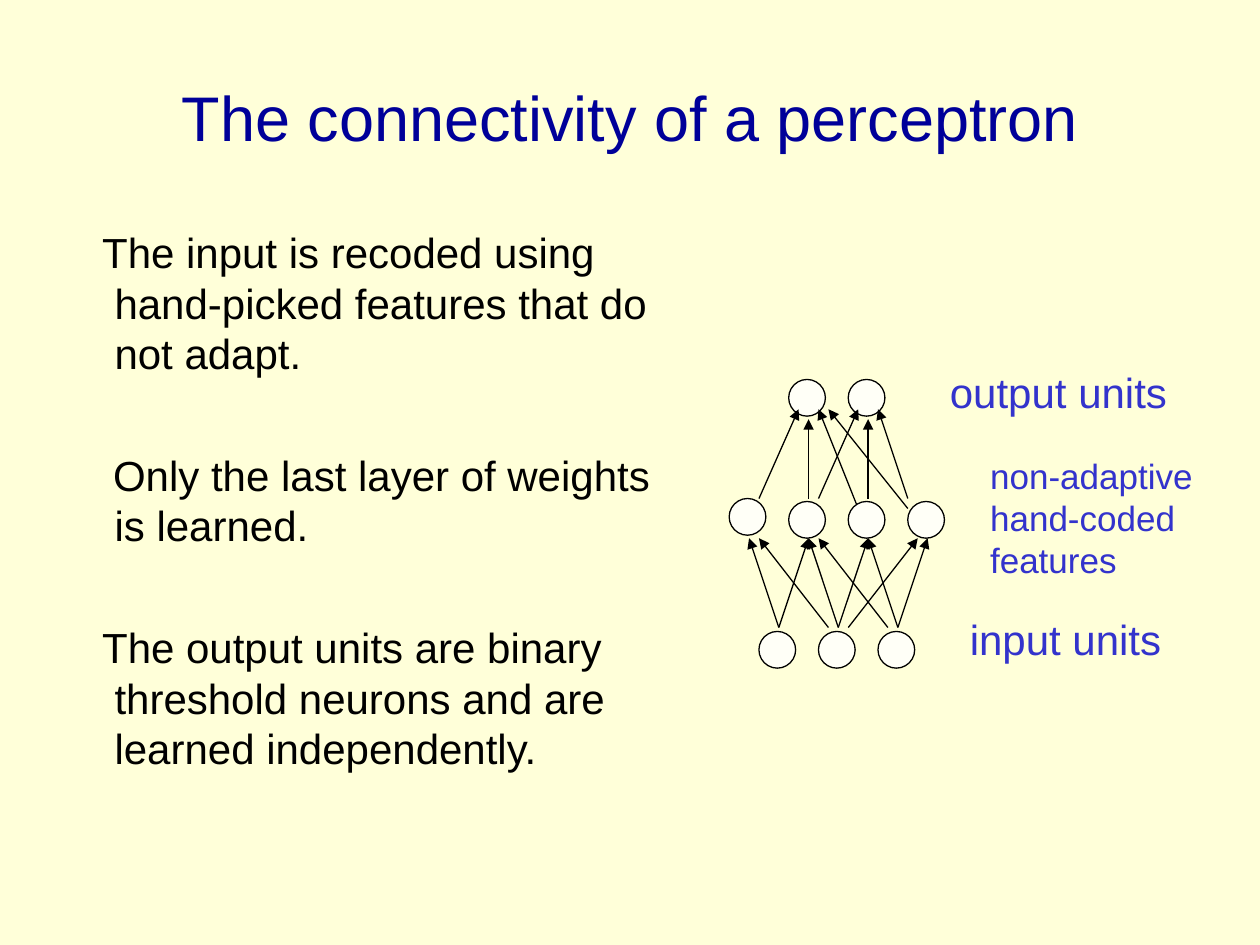
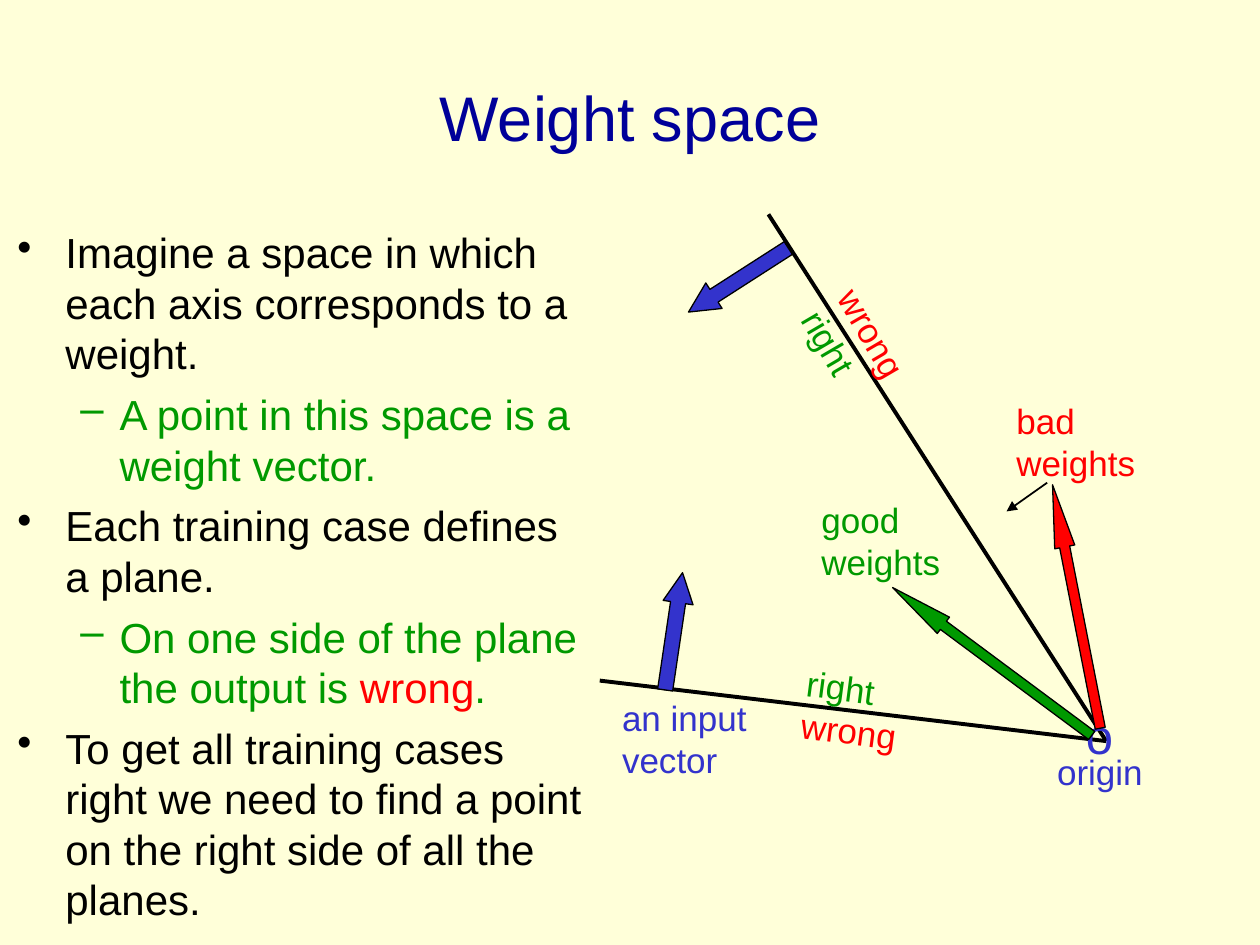
from lxml.etree import SubElement
from pptx import Presentation
from pptx.dml.color import RGBColor
from pptx.enum.shapes import MSO_CONNECTOR as Connector, MSO_SHAPE as Shape
from pptx.enum.text import MSO_ANCHOR as Anchor, MSO_AUTO_SIZE as AutoSize, PP_ALIGN as Align
from pptx.oxml.ns import qn
from pptx.util import Cm, Pt

FONT = "Arial"
COLORS = {
    "paper": "FFFFD9",
    "title": "000099",
    "ink": "000000",
    "unit": "FFFFF7",
    "blue": "3333CC",
    "right": "009900",
    "wrong": "FF0000",
}
GRID = 0.2
UNIT_SIZE = 0.74
BULLETS = {0: ("•", "ink", 0.97, -0.97), 1: ("–", "right", 2.06, -0.79)}


def rgb(color):
    return RGBColor.from_string(COLORS[color])


def add_run(paragraph, text, size, color):
    run = paragraph.add_run()
    run.text = text
    run.font.name = FONT
    run.font.size = Pt(size)
    run.font.color.rgb = rgb(color)


def add_text_frame(slide, left, top, width, height, rotation=0):
    box = slide.shapes.add_textbox(Cm(left), Cm(top), Cm(width), Cm(height))
    box.rotation = rotation
    box.text_frame.word_wrap = True
    return box.text_frame


def next_paragraph(frame, index):
    return frame.add_paragraph() if index else frame.paragraphs[0]


def add_label(slide, left, top, width, height, lines, size=20, rotation=0):
    frame = add_text_frame(slide, left, top, width, height, rotation)
    for index, (text, color) in enumerate(lines):
        add_run(next_paragraph(frame, index), text, size, color)


def set_indent(paragraph, margin, indent):
    properties = paragraph._p.get_or_add_pPr()
    properties.set("marL", str(Cm(margin)))
    properties.set("indent", str(Cm(indent)))
    return properties


def style_shape(shape, fill):
    shape.shadow.inherit = False
    shape.fill.solid()
    shape.fill.fore_color.rgb = rgb(fill)
    shape.line.color.rgb = rgb("ink")
    shape.line.width = Pt(0.75)


def add_line(slide, start, end, weight, arrow=False):
    line = slide.shapes.add_connector(
        Connector.STRAIGHT, *(Cm(value) for value in (*start, *end)))
    line.line.color.rgb = rgb("ink")
    line.line.width = Pt(weight)
    if arrow:
        SubElement(line.line._get_or_add_ln(), qn("a:tailEnd"), type="triangle")
    SubElement(line._element.spPr, qn("a:effectLst"))


def add_titled_slide(deck, text):
    slide = deck.slides.add_slide(deck.slide_layouts[5])
    title = slide.shapes.title
    title.left, title.top, title.width, title.height = Cm(1.27), Cm(0.76), Cm(22.86), Cm(3.18)
    frame = title.text_frame
    frame.vertical_anchor = Anchor.MIDDLE
    frame.auto_size = AutoSize.NONE
    frame.word_wrap = True
    frame.paragraphs[0].alignment = Align.CENTER
    add_run(frame.paragraphs[0], text, 36, "title")
    return slide


def add_statements(slide, left, top, width, height, statements):
    frame = add_text_frame(slide, left, top, width, height)
    for index, (text, indent) in enumerate(statements):
        paragraph = next_paragraph(frame, index)
        paragraph.space_before = Pt(40.8 if index else 6)
        set_indent(paragraph, 0.97, indent)
        add_run(paragraph, text, 24, "ink")


def add_bullets(slide, left, top, width, height, points):
    frame = add_text_frame(slide, left, top, width, height)
    for index, (level, runs) in enumerate(points):
        paragraph = next_paragraph(frame, index)
        paragraph.level = level
        paragraph.space_before = Pt(6)
        mark, color, margin, indent = BULLETS[level]
        properties = set_indent(paragraph, margin, indent)
        bullet_color = SubElement(properties, qn("a:buClr"))
        SubElement(bullet_color, qn("a:srgbClr"), val=COLORS[color])
        SubElement(properties, qn("a:buChar"), char=mark)
        for text, run_color in runs:
            add_run(paragraph, text, 24, run_color)


def add_network(slide, left, top):
    def at(column, row):
        return left + column * GRID, top + row * GRID

    def add_units(units):
        for column, row in units:
            x, y = at(column, row)
            unit = slide.shapes.add_shape(
                Shape.OVAL, Cm(x), Cm(y), Cm(UNIT_SIZE), Cm(UNIT_SIZE))
            style_shape(unit, "unit")

    def add_weights(weights):
        for start_column, start_row, end_column, end_row in weights:
            add_line(slide, at(start_column, start_row), at(end_column, end_row), 0.75, True)

    add_units([(6, 0), (12, 0)])
    add_weights([(3, 12, 7, 3), (9, 12, 13, 3), (18, 12, 15, 3), (13, 13, 9, 3),
                 (18, 13, 10, 3), (14, 12, 14, 4), (8, 12, 8, 4)])
    add_units([(0, 12), (6, 12.3), (12, 12.3), (18, 12.3)])
    add_units([(column, 25.4) for column in (3, 9, 15)])
    add_weights([(start, 25, end, 16) for start, end in (
        (5, 8), (17, 20), (17, 14), (11, 8), (16, 9), (10, 3), (5, 2), (11, 14), (12, 19))])

    add_label(slide, left + 4.2, top - 0.39, 4.95, 1.27, [("output units", "blue")], 24)
    add_label(slide, left + 5.01, top + 1.39, 4.65, 2.79,
              [(text, "blue") for text in ("non-adaptive", "hand-coded", "features")])
    add_label(slide, left + 4.6, top + 4.59, 4.45, 1.27, [("input units", "blue")], 24)


def add_weight_space(slide, left, top):
    def label(x, y, width, height, lines, **style):
        add_label(slide, left + x, top + y, width, height, lines, **style)

    def vector(x, y, width, height, rotation, head, color):
        arrow = slide.shapes.add_shape(
            Shape.RIGHT_ARROW, Cm(left + x), Cm(top + y), Cm(width), Cm(height))
        arrow.rotation = rotation
        arrow.adjustments[0] = 0.5
        arrow.adjustments[1] = head
        style_shape(arrow, color)

    origin = left + 10.21, top + 10.62
    for x, y in ((0, 9.4), (3.4, 0)):
        add_line(slide, (left + x, top + y), origin, 2.25)

    sides = [("right", "right"), ("wrong", "wrong")]
    label(3.81, 9.02, 2.59, 2.79, sides, rotation=7.5)
    label(3.51, 1.5, 2.59, 2.79, sides[::-1], rotation=59.7)
    label(0.2, 9.6, 3.28, 1.96, [("an input", "blue"), ("vector", "blue")])
    add_line(slide, (left + 9.02, top + 5.41), (left + 8.2, top + 5.99), 1, True)
    for x, y, quality, color in ((8.15, 3.61, "bad", "wrong"), (4.22, 5.61, "good", "right")):
        label(x, y, 2.95, 1.96, [(quality, color), ("weights", color)])
    label(9.55, 9.78, 1.1, 1.45, [("o", "blue")], size=28)

    vector(7.11, 7.7, 5, 0.41, 258.9, 3.11, "wrong")
    vector(5.41, 8.81, 5, 0.41, 216.6, 3.11, "right")
    vector(0.3, 8.1, 2.39, 0.61, 278.4, 1, "blue")
    vector(1.6, 1.02, 2.39, 0.61, 147.3, 1, "blue")
    label(8.97, 10.69, 2.3, 1.12, [("origin", "blue")])


def main():
    deck = Presentation()
    deck.slide_width, deck.slide_height = Cm(25.4), Cm(19.05)
    background = deck.slide_master.background.fill
    background.solid()
    background.fore_color.rgb = rgb("paper")

    perceptron = add_titled_slide(deck, "The connectivity of a perceptron")
    add_statements(perceptron, 1.09, 4.45, 12.4, 14.6, [
        ("The input is recoded using hand-picked features that do not adapt.", -0.25),
        ("Only the last layer of weights is learned.", -0.03),
        ("The output units are binary threshold neurons and are learned independently.", -0.25),
    ])
    add_network(perceptron, 14.7, 7.65)

    weight_space = add_titled_slide(deck, "Weight space")
    add_bullets(weight_space, 0.1, 4.45, 12.04, 14.6, [
        (0, [("Imagine a space in which each axis corresponds to a weight.", "ink")]),
        (1, [("A point in this space is a weight vector.", "right")]),
        (0, [("Each training case defines a plane.", "ink")]),
        (1, [("On one side of the plane the output is ", "right"), ("wrong", "wrong"),
             (".", "right")]),
        (0, [("To get all training cases right we need to find a point on the right side "
              "of all the planes.", "ink")]),
    ])
    add_weight_space(weight_space, 12.09, 4.32)

    deck.save("out.pptx")


if __name__ == "__main__":
    main()
